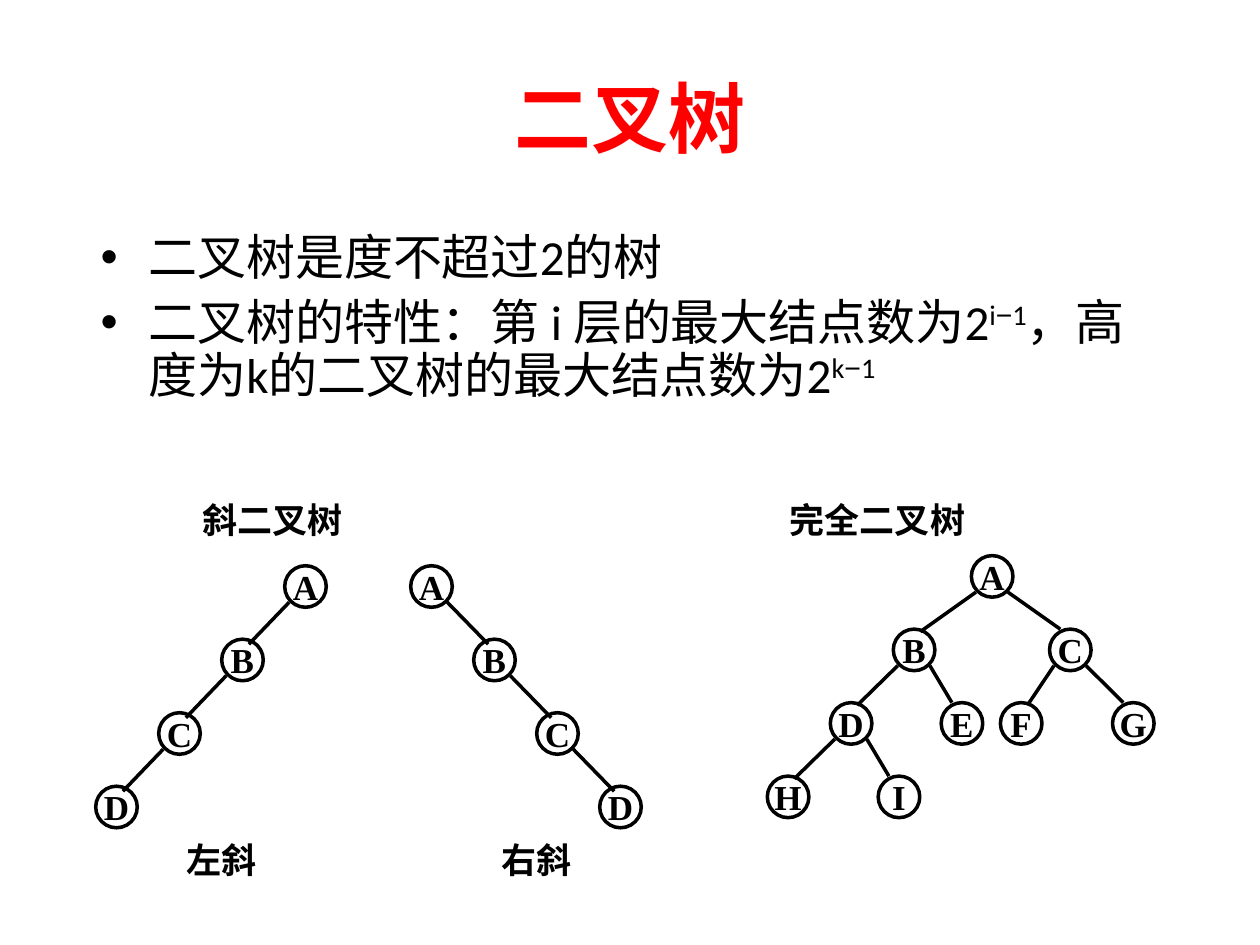
import pptx
import pptx.dml.color
import pptx.enum.shapes
import pptx.enum.text
import pptx.oxml.ns
import pptx.util
from lxml import etree

Inches, Pt = pptx.util.Inches, pptx.util.Pt
PP_ALIGN = pptx.enum.text.PP_ALIGN
ANCHOR = pptx.enum.text.MSO_ANCHOR
COLORS = {"title": "FF0000", "ink": "000000"}

NODE = 0.33  # circle diameter
ROW = 1.75 / 3  # distance between tree levels
# Where an edge leaves its parent and meets its child, by side, from the centres
EDGE_START = {-1: (-0.13, 0.125), 1: (0.125, 0.125)}
SKEW_END = {-1: (0.05, -0.125), 1: (-0.05, -0.125)}
COMPLETE_END = {-1: (0.05, -0.145), 1: (-0.08, -0.165)}


def rgb(name):
    return pptx.dml.color.RGBColor.from_string(COLORS[name])


def style(r, size, font, color="ink", bold=False):
    r.font.size = Pt(size)
    r.font.name = font
    r.font.bold = bold
    r.font.color.rgb = rgb(color)


def write(sp, text, size, font, color="ink", align=PP_ALIGN.CENTER,
          anchor=ANCHOR.MIDDLE, wrap=False):
    """Put one bold line into a shape."""
    tf = sp.text_frame
    tf.word_wrap = wrap
    tf.vertical_anchor = anchor
    tf.text = text
    p = tf.paragraphs[0]
    p.alignment = align
    style(p.runs[0], size, font, color, bold=True)


def add_box(s, x, y, w, h):
    return s.shapes.add_textbox(Inches(x), Inches(y), Inches(w), Inches(h))


def add_title(s, x, y, w, h):
    write(add_box(s, x, y, w, h), "二叉树", 44, "Calibri", "title", wrap=True)


def add_body(s, x, y, w, h):
    # Each run: text, font, superscript
    points = [
        [("二叉树是度不超过2的树", "Calibri", False)],
        [("二叉树的特性：第 i 层的最大结点数为2", "Calibri", False),
         ("i", "Calibri", True), ("−", "Arial", True), ("1", "Calibri", True),
         ("，高度为k的二叉树的最大结点数为2", "Calibri", False),
         ("k", "Calibri", True), ("−", "Arial", True), ("1", "Calibri", True)],
    ]
    tf = add_box(s, x, y, w, h).text_frame
    tf.word_wrap = True
    for i, runs in enumerate(points):
        p = tf.paragraphs[0] if i == 0 else tf.add_paragraph()
        p.line_spacing = 0.9
        p.space_before = Pt(7 if i else 0)
        pPr = p._p.get_or_add_pPr()
        pPr.set("marL", str(Inches(0.38)))
        pPr.set("indent", str(Inches(-0.38)))
        etree.SubElement(pPr, pptx.oxml.ns.qn("a:buFont")).set("typeface", "Arial")
        etree.SubElement(pPr, pptx.oxml.ns.qn("a:buChar")).set("char", "•")
        for text, font, raised in runs:
            r = p.add_run()
            r.text = text
            style(r, 28, font)
            if raised:
                r.font._element.set("baseline", "30000")


def add_heading(s, x, y, w, h, text):
    write(add_box(s, x, y, w, h), text, 20, "Arial",
          align=PP_ALIGN.LEFT, anchor=ANCHOR.TOP, wrap=True)


def add_node(s, x, y, name):
    sp = s.shapes.add_shape(pptx.enum.shapes.MSO_SHAPE.OVAL, Inches(x), Inches(y),
                            Inches(NODE), Inches(NODE))
    sp.shadow.inherit = False
    sp.fill.background()
    sp.line.color.rgb = rgb("ink")
    sp.line.width = Pt(2)
    write(sp, name, 20, "Times New Roman")


def add_edge(s, parent, child, ends):
    side = 1 if child[0] > parent[0] else -1
    points = [node[i] + NODE / 2 + shift[i]
              for node, shift in ((parent, EDGE_START[side]), (child, ends[side]))
              for i in (0, 1)]
    line = s.shapes.add_connector(pptx.enum.shapes.MSO_CONNECTOR.STRAIGHT,
                                  *(Inches(v) for v in points))
    line.line.color.rgb = rgb("ink")
    line.line.width = Pt(2)
    etree.SubElement(line._element.spPr, pptx.oxml.ns.qn("a:effectLst"))


def add_tree(s, x, y, nodes, edges, ends):
    """Draw a tree; nodes maps a name to (offset from left, level)."""
    places = {name: (x + dx, y + level * ROW) for name, (dx, level) in nodes.items()}
    for name, (left, top) in places.items():
        add_node(s, left, top, name)
    for parent, child in edges:
        add_edge(s, places[parent], places[child], ends)


def add_skewed_tree(s, x, y, caption, leans_left):
    nodes = {name: (0.5 * (3 - i if leans_left else i), i)
             for i, name in enumerate("ABCD")}
    add_tree(s, x, y, nodes, ("AB", "BC", "CD"), SKEW_END)
    write(add_box(s, x - 0.17, y + 2.17, 2.33, 0.33), caption, 20, "Times New Roman")


def add_complete_tree(s, x, y):
    nodes = {"A": (1.62, 0), "B": (1, 1), "C": (2.24, 1), "D": (0.5, 2),
             "E": (1.38, 2), "F": (1.85, 2), "G": (2.74, 2),
             "H": (0, 3), "I": (0.88, 3)}
    edges = ("AB", "AC", "BD", "BE", "CF", "CG", "DH", "DI")
    add_tree(s, x, y, nodes, edges, COMPLETE_END)


def main():
    prs = pptx.Presentation()
    prs.slide_width, prs.slide_height = Inches(10), Inches(7.5)
    s = prs.slides.add_slide(prs.slide_layouts[6])

    add_title(s, 0.5, 0.3, 9, 1.25)
    add_body(s, 0.7, 1.8, 8.5, 1.54)

    # Skewed trees
    add_heading(s, 1.51, 3.91, 3.17, 0.44, "斜二叉树")
    add_skewed_tree(s, 0.76, 4.49, "左斜", True)
    add_skewed_tree(s, 3.26, 4.49, "右斜", False)

    # Complete tree
    add_heading(s, 6.17, 3.91, 3.42, 0.44, "完全二叉树")
    add_complete_tree(s, 6.09, 4.41)

    prs.save("out.pptx")


if __name__ == "__main__":
    main()
